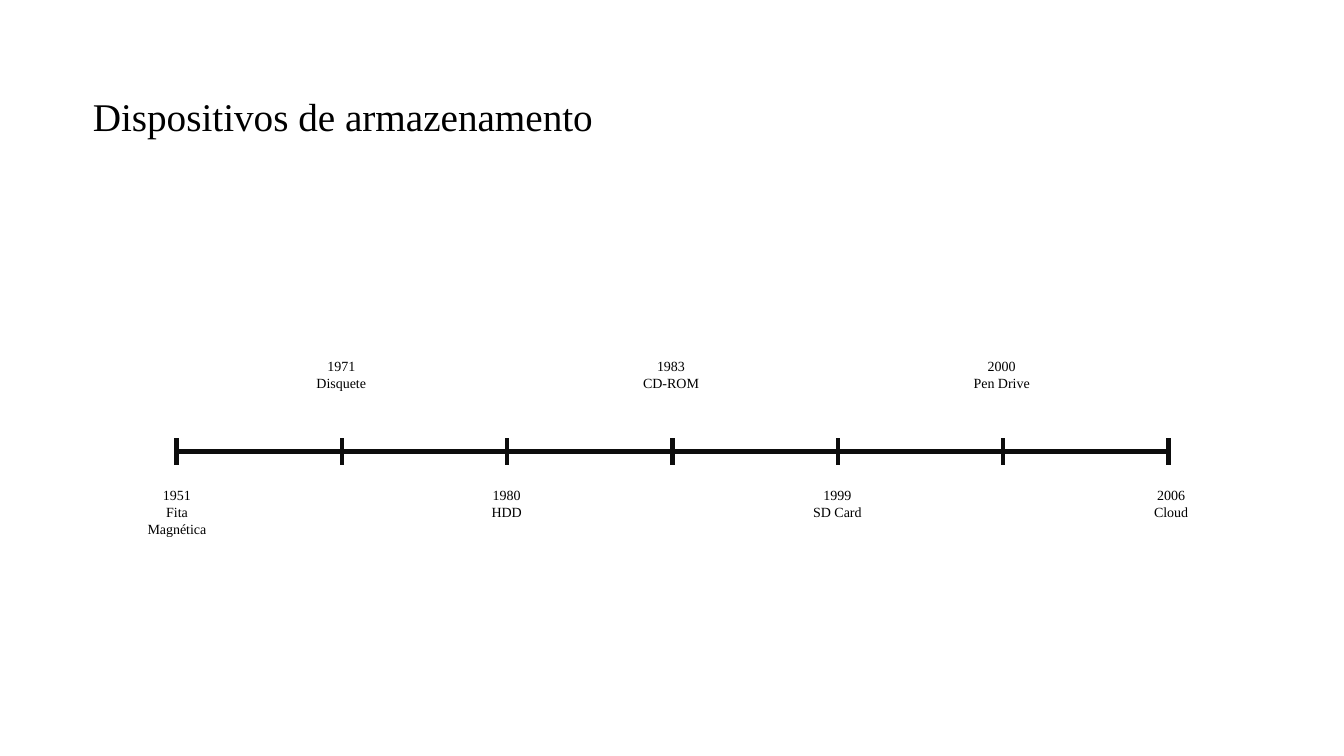
from typing import NamedTuple

from pptx import Presentation
from pptx.dml.color import RGBColor
from pptx.enum.shapes import MSO_CONNECTOR
from pptx.enum.text import MSO_ANCHOR, MSO_AUTO_SIZE, PP_ALIGN
from pptx.oxml.ns import qn
from pptx.shapes.shapetree import GroupShapes, SlideShapes
from pptx.slide import Slide
from pptx.text.text import _Paragraph
from pptx.util import Inches, Pt
from lxml.etree import SubElement

BLACK = RGBColor(0x00, 0x00, 0x00)
AXIS_COLOR = RGBColor(0x0D, 0x0D, 0x0D)
FONT = "Times New Roman"

AXIS_LEFT, AXIS_Y = 1.75, 4.48
TICK_GAP, TICK_HALF = 1.64, 0.13
LABEL_WIDTH = 0.81
LABEL_TOP_ABOVE, LABEL_TOP_BELOW = 3.5, 4.78


class Device(NamedTuple):
    year: str
    name: str
    label_left: float
    label_height: float = 0.44


DEVICES = [
    Device("1951", "Fita Magnética", 1.35, 0.77),
    Device("1971", "Disquete", 2.98),
    Device("1980", "HDD", 4.62),
    Device("1983", "CD-ROM", 6.25),
    Device("1999", "SD Card", 7.9),
    Device("2000", "Pen Drive", 9.53),
    Device("2006", "Cloud", 11.21),
]


def set_font(paragraph: _Paragraph, size: float) -> None:
    paragraph.font.name = FONT
    paragraph.font.size = Pt(size)
    paragraph.font.color.rgb = BLACK


def add_title(slide: Slide, text: str) -> None:
    title = slide.shapes.title
    title.left, title.top = Inches(0.82), Inches(0.93)
    title.width, title.height = Inches(10.29), Inches(0.49)
    frame = title.text_frame
    frame.text = text
    frame.word_wrap = True
    frame.auto_size = MSO_AUTO_SIZE.NONE
    frame.vertical_anchor = MSO_ANCHOR.MIDDLE
    heading = frame.paragraphs[0]
    heading.alignment = PP_ALIGN.LEFT
    heading.line_spacing = 0.9
    set_font(heading, 28)


def add_line(shapes: GroupShapes, x1: float, y1: float, x2: float, y2: float) -> None:
    line = shapes.add_connector(
        MSO_CONNECTOR.STRAIGHT, Inches(x1), Inches(y1), Inches(x2), Inches(y2)
    )
    line.line.color.rgb = AXIS_COLOR
    line.line.width = Pt(3)
    SubElement(line._element.spPr, qn("a:effectLst"))


def add_label(shapes: SlideShapes, device: Device, top: float) -> None:
    label = shapes.add_textbox(
        Inches(device.label_left), Inches(top),
        Inches(LABEL_WIDTH), Inches(device.label_height),
    )
    frame = label.text_frame
    frame.word_wrap = True
    frame.auto_size = MSO_AUTO_SIZE.SHAPE_TO_FIT_TEXT
    frame.text = f"{device.year}\n{device.name}"
    for paragraph in frame.paragraphs:
        paragraph.alignment = PP_ALIGN.CENTER
        set_font(paragraph, 10)


def main() -> None:
    presentation = Presentation()
    presentation.slide_width = Inches(13.33)
    presentation.slide_height = Inches(7.5)
    slide = presentation.slides.add_slide(presentation.slide_layouts[5])
    add_title(slide, "Dispositivos de armazenamento")

    # Timeline axis with one tick per device
    timeline = slide.shapes.add_group_shape().shapes
    axis_right = AXIS_LEFT + TICK_GAP * (len(DEVICES) - 1)
    add_line(timeline, AXIS_LEFT, AXIS_Y, axis_right, AXIS_Y)
    for index in range(len(DEVICES)):
        x = AXIS_LEFT + index * TICK_GAP
        add_line(timeline, x, AXIS_Y - TICK_HALF, x, AXIS_Y + TICK_HALF)

    # Labels alternate below and above the axis
    for index, device in enumerate(DEVICES):
        add_label(slide.shapes, device, LABEL_TOP_ABOVE if index % 2 else LABEL_TOP_BELOW)

    presentation.save("out.pptx")


if __name__ == "__main__":
    main()
